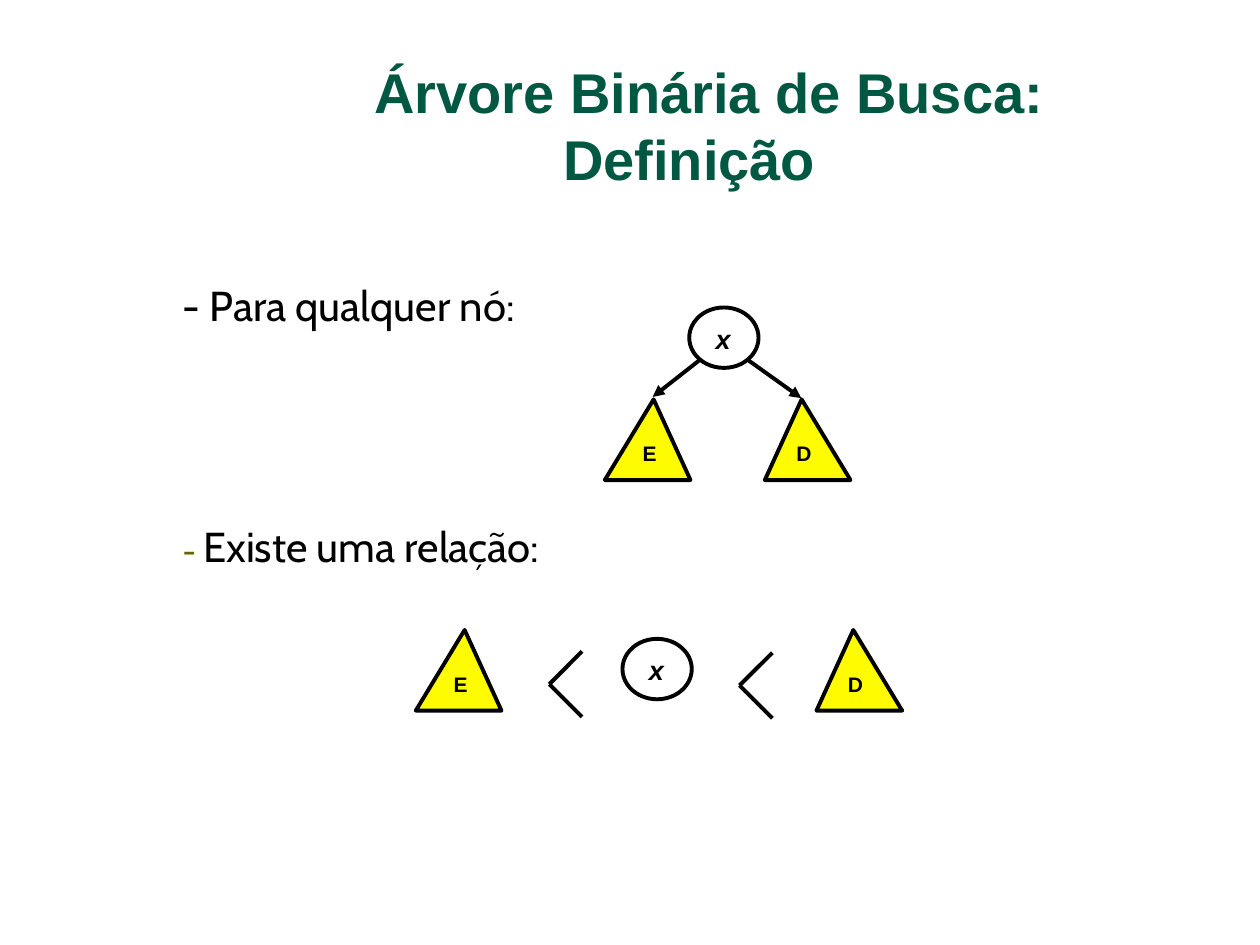
from lxml import etree
from pptx import Presentation
from pptx.dml.color import RGBColor
from pptx.enum.shapes import MSO_CONNECTOR, MSO_SHAPE
from pptx.enum.text import MSO_ANCHOR
from pptx.oxml.ns import qn
from pptx.util import Inches, Pt

LINE = MSO_CONNECTOR.STRAIGHT
OVAL = MSO_SHAPE.OVAL
TRIANGLE = MSO_SHAPE.ISOSCELES_TRIANGLE
TOP, MIDDLE = MSO_ANCHOR.TOP, MSO_ANCHOR.MIDDLE

BLACK = RGBColor(0x00, 0x00, 0x00)
YELLOW = RGBColor(0xFF, 0xFB, 0x00)
GREEN = RGBColor(0x00, 0x58, 0x42)
OLIVE = RGBColor(0x66, 0x66, 0x00)


class TreeSlide:
    heading_font = "Arial"
    body_font = "Cabin"
    stroke = Pt(2.25)

    def __init__(self, prs):
        self.slide = prs.slides.add_slide(prs.slide_layouts[6])
        self.shapes = self.slide.shapes

    def box(self, x, y, w, h, anchor=TOP, wrap=True):
        """Add an empty text box without margins and return its text frame."""
        sp = self.shapes.add_textbox(Inches(x), Inches(y), Inches(w), Inches(h))
        tf = sp.text_frame
        tf.word_wrap = wrap
        tf.vertical_anchor = anchor
        tf.margin_left = tf.margin_right = tf.margin_top = tf.margin_bottom = 0
        return tf

    def run(self, p, text, size, color, font, bold=False, italic=False):
        r = p.add_run()
        r.text = text
        r.font.name = font
        r.font.size = Pt(size)
        r.font.color.rgb = color
        r.font.bold = bold
        r.font.italic = italic

    def title(self, lines):
        """Add the title; each line comes with its own left indent."""
        tf = self.box(1.25, 0.45, 8.5, 1.08, MIDDLE)
        for i, (text, indent) in enumerate(lines):
            p = tf.add_paragraph() if i else tf.paragraphs[0]
            p._p.get_or_add_pPr().set("marL", str(Inches(indent)))
            self.run(p, text, 32, GREEN, self.heading_font, bold=True)

    def statement(self, y, w, runs):
        tf = self.box(1.45, y, w, 0.4, wrap=False)
        for text, size, color in runs:
            self.run(tf.paragraphs[0], text, size, color, self.body_font)

    def label(self, x, y, text, size, italic=False):
        tf = self.box(x, y, 0.14, size / 60, wrap=False)
        self.run(tf.paragraphs[0], text, size, BLACK, self.heading_font, True, italic)

    def outline(self, kind, x, y, w, h):
        sp = self.shapes.add_shape(kind, Inches(x), Inches(y), Inches(w), Inches(h))
        sp.shadow.inherit = False
        sp.line.color.rgb = BLACK
        sp.line.width = self.stroke
        return sp

    def node(self, x, y):
        self.outline(OVAL, x, y, 0.55, 0.48).fill.background()
        self.label(x + 0.21, y + 0.12, "x", 15.4, italic=True)

    def subtree(self, x, y, text, apex, label_dx):
        """Add a triangle whose top sits at the given share of its width."""
        sp = self.outline(TRIANGLE, x, y, 0.68, 0.64)
        sp.adjustments[0] = apex
        sp.fill.solid()
        sp.fill.fore_color.rgb = YELLOW
        self.label(x + label_dx, y + 0.33, text, 12)

    def left_subtree(self, x, y):
        self.subtree(x, y, "E", 0.57, 0.3)

    def right_subtree(self, x, y):
        self.subtree(x, y, "D", 0.43, 0.25)

    def line(self, x1, y1, x2, y2, arrow=False):
        cx = self.shapes.add_connector(LINE, Inches(x1), Inches(y1), Inches(x2), Inches(y2))
        cx.line.color.rgb = BLACK
        cx.line.width = self.stroke
        if arrow:
            etree.SubElement(cx.line._get_or_add_ln(), qn("a:tailEnd"), type="triangle")
        etree.SubElement(cx._element.spPr, qn("a:effectLst"))

    def less_than(self, x, y, size=0.26):
        """Draw a < sign with its tip at x, y."""
        for dy in (-size, size):
            self.line(x + size, y + dy, x, y)


def main():
    prs = Presentation()
    prs.slide_width, prs.slide_height = Inches(10), Inches(7.5)
    s = TreeSlide(prs)

    s.title([("Árvore Binária de Busca:", 1.72), ("Definição", 3.22)])
    s.statement(2.22, 2.88, [("- Para qualquer nó:", 23.9, BLACK)])
    s.statement(4.13, 3.1, [("- ", 18, OLIVE), ("Existe uma relação:", 23.9, BLACK)])

    s.node(5.47, 2.44)
    s.left_subtree(4.8, 3.17)
    s.right_subtree(6.07, 3.17)
    s.line(5.55, 2.86, 5.18, 3.15, arrow=True)
    s.line(5.94, 2.86, 6.36, 3.16, arrow=True)

    s.left_subtree(3.3, 5)
    s.less_than(4.36, 5.43)
    s.node(4.94, 5.07)
    s.less_than(5.87, 5.44)
    s.right_subtree(6.48, 5)

    prs.save("out.pptx")


if __name__ == "__main__":
    main()
